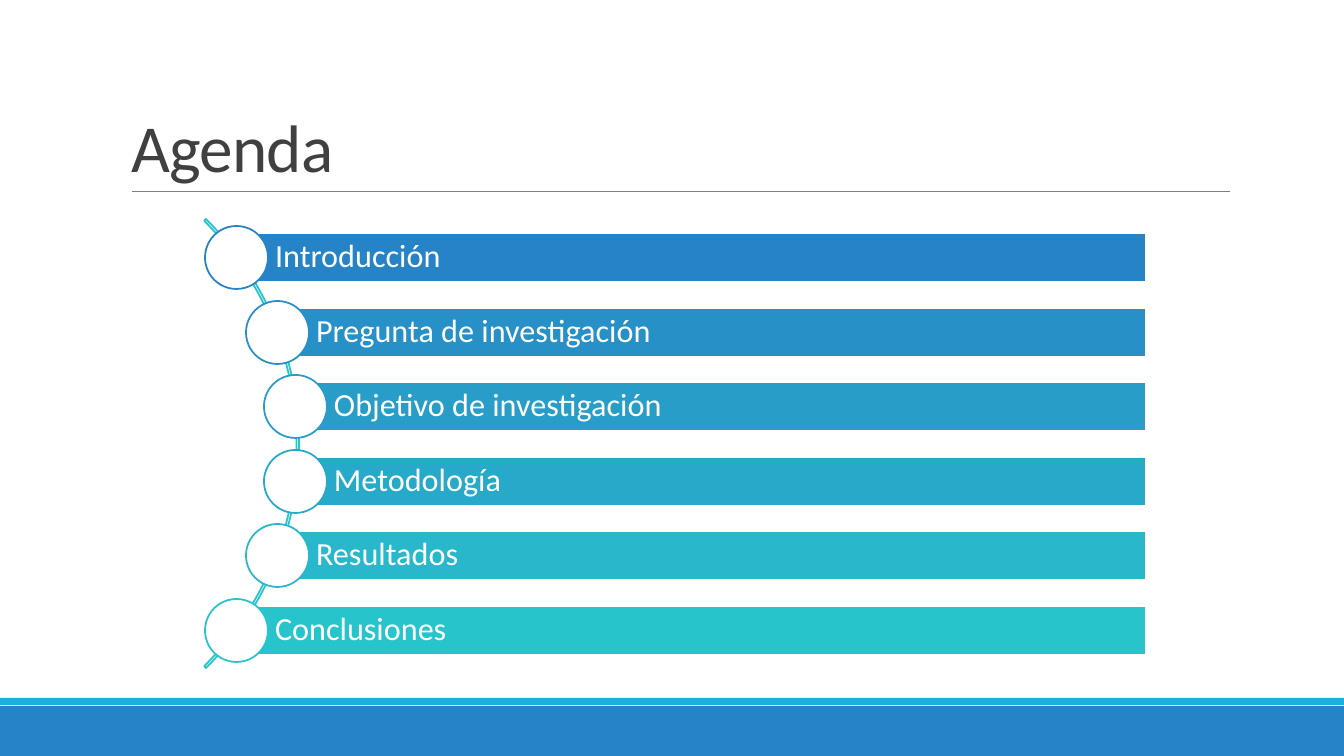
from dataclasses import dataclass

from pptx import Presentation
from pptx.dml.color import RGBColor
from pptx.enum.shapes import MSO_CONNECTOR, MSO_SHAPE
from pptx.enum.text import MSO_ANCHOR, MSO_AUTO_SIZE, PP_ALIGN
from pptx.util import Emu, Pt
from lxml.etree import SubElement
from pptx.oxml.ns import qn

PIXEL = 914400 / 100.8
TOPICS = (
    ("Introducción", 236),
    ("Pregunta de investigación", 277),
    ("Objetivo de investigación", 295),
    ("Metodología", 295),
    ("Resultados", 277),
    ("Conclusiones", 236),
)
FIRST_BAR_TOP = 233
LAST_BAR_TOP = 606
BAR_RIGHT = 1146
BAR_HEIGHT = 49
CIRCLE_SIZE = 63


@dataclass(frozen=True)
class Theme:
    font: str = "Calibri"
    blue: str = "2683C6"
    sky: str = "1CADE4"
    turquoise: str = "28C4CC"
    white: str = "FFFFFF"
    title: str = "404040"
    rule: str = "808080"
    title_size: float = 48
    topic_size: float = 23
    outline: float = 1.25
    rule_width: float = 0.5


def px(length):
    return Emu(round(length * PIXEL))


def blend(start, end, fraction):
    pairs = zip(RGBColor.from_string(start), RGBColor.from_string(end))
    return str(RGBColor(*(round(a + (b - a) * fraction) for a, b in pairs)))


class AgendaSlide:
    def __init__(self, presentation, theme):
        self.theme = theme
        self.slide = presentation.slides.add_slide(presentation.slide_layouts[5])

    def format_text(self, text_frame, text, size, color, spacing):
        text_frame.text = text
        text_frame.word_wrap = True
        text_frame.auto_size = MSO_AUTO_SIZE.NONE
        paragraph = text_frame.paragraphs[0]
        paragraph.alignment = PP_ALIGN.LEFT
        paragraph.line_spacing = spacing
        font = paragraph.runs[0].font
        font.name = self.theme.font
        font.size = Pt(size)
        font.color.rgb = RGBColor.from_string(color)
        return paragraph

    def title(self, text, left, top, width, height):
        shape = self.slide.shapes.title
        shape.left, shape.top = px(left), px(top)
        shape.width, shape.height = px(width), px(height)
        paragraph = self.format_text(
            shape.text_frame, text, self.theme.title_size, self.theme.title, 0.85
        )
        shape.text_frame.vertical_anchor = MSO_ANCHOR.BOTTOM
        paragraph.runs[0].font._element.set("spc", "-50")

    def shape(self, kind, left, top, width, height, fill=None, line=None):
        shape = self.slide.shapes.add_shape(
            kind, px(left), px(top), px(width), px(height)
        )
        shape.shadow.inherit = False
        if fill:
            shape.fill.solid()
            shape.fill.fore_color.rgb = RGBColor.from_string(fill)
        else:
            shape.fill.background()
        if line:
            shape.line.color.rgb = RGBColor.from_string(line)
            shape.line.width = Pt(self.theme.outline)
        else:
            shape.line.fill.background()
        return shape

    def rule(self, left, top, right):
        connector = self.slide.shapes.add_connector(
            MSO_CONNECTOR.STRAIGHT, px(left), px(top), px(right), px(top)
        )
        connector.line.color.rgb = RGBColor.from_string(self.theme.rule)
        connector.line.width = Pt(self.theme.rule_width)
        SubElement(connector._element.spPr, qn("a:effectLst"))

    def arc(self, left, top, size):
        arc = self.shape(
            MSO_SHAPE.BLOCK_ARC, left, top, size, size, line=self.theme.turquoise
        )
        for index, value in enumerate((189, 27, 0.004)):
            arc.adjustments[index] = value

    def topic(self, text, left, top, color):
        bar = self.shape(
            MSO_SHAPE.RECTANGLE, left, top, BAR_RIGHT - left, BAR_HEIGHT,
            color, self.theme.white,
        )
        frame = bar.text_frame
        self.format_text(frame, text, self.theme.topic_size, self.theme.white, 0.9)
        frame.vertical_anchor = MSO_ANCHOR.MIDDLE
        frame.margin_left = px(39)
        frame.margin_top = frame.margin_right = frame.margin_bottom = px(6)
        self.shape(
            MSO_SHAPE.OVAL, left - CIRCLE_SIZE // 2,
            top - (CIRCLE_SIZE - BAR_HEIGHT) // 2, CIRCLE_SIZE, CIRCLE_SIZE,
            self.theme.white, color,
        )


def main():
    presentation = Presentation()
    presentation.slide_width, presentation.slide_height = px(1344), px(756)
    theme = Theme()
    agenda = AgendaSlide(presentation, theme)
    agenda.shape(MSO_SHAPE.RECTANGLE, 0, 706, 1344, 50, theme.blue)
    agenda.shape(MSO_SHAPE.RECTANGLE, 0, 698, 1344, 7, theme.sky)
    agenda.rule(132, 191, 1230)
    agenda.title("Agenda", 121, 31, 1109, 160)
    agenda.arc(-336, 126, 635)
    for index, (text, left) in enumerate(TOPICS):
        fraction = index / (len(TOPICS) - 1)
        top = round(FIRST_BAR_TOP + (LAST_BAR_TOP - FIRST_BAR_TOP) * fraction)
        agenda.topic(text, left, top, blend(theme.blue, theme.turquoise, fraction))
    presentation.save("out.pptx")


if __name__ == "__main__":
    main()
